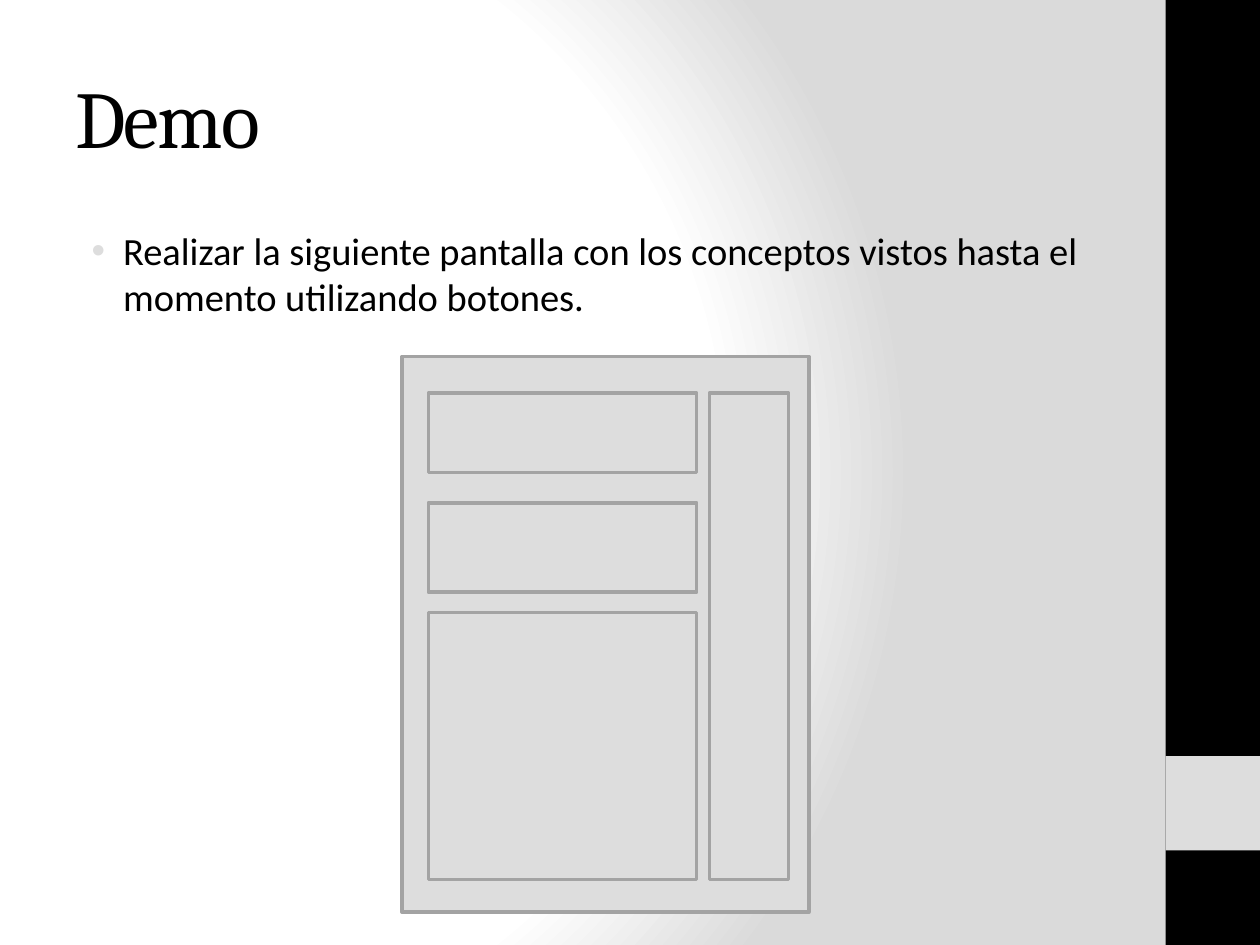
from lxml.etree import SubElement
from pptx import Presentation
from pptx.dml.color import RGBColor
from pptx.enum.shapes import MSO_SHAPE as Shape
from pptx.enum.text import MSO_ANCHOR as Anchor
from pptx.oxml import parse_xml
from pptx.oxml.ns import nsdecls, qn
from pptx.util import Inches, Pt

BLACK = RGBColor(0x00, 0x00, 0x00)
WHITE = RGBColor(0xFF, 0xFF, 0xFF)
BACKDROP_GRAY = RGBColor(0xDA, 0xDA, 0xDA)
LIGHT_GRAY = RGBColor(0xDD, 0xDD, 0xDD)
OUTLINE_GRAY = RGBColor(0xA3, 0xA3, 0xA3)


def set_background(slide):
    """Give the slide a circular gradient that is white at the left."""
    stops = "".join(
        f'<a:gs pos="{percent * 1000}"><a:srgbClr val="{color}"/></a:gs>'
        for percent, color in ((0, WHITE), (75, WHITE), (100, BACKDROP_GRAY))
    )
    background = parse_xml(
        f'<p:bg {nsdecls("p", "a")}><p:bgPr><a:gradFill rotWithShape="1">'
        f"<a:gsLst>{stops}</a:gsLst>"
        '<a:path path="circle">'
        '<a:fillToRect l="20000" t="50000" r="100000" b="50000"/>'
        "</a:path></a:gradFill><a:effectLst/></p:bgPr></p:bg>"
    )
    slide.element.cSld.insert(0, background)


def add_rectangle(slide, left, top, width, height, fill, line=None):
    """Add a plain rectangle, outlined when a line colour is given."""
    shape = slide.shapes.add_shape(
        Shape.RECTANGLE, Inches(left), Inches(top), Inches(width), Inches(height)
    )
    shape.shadow.inherit = False
    shape.fill.solid()
    shape.fill.fore_color.rgb = fill
    if line is None:
        shape.line.fill.background()
    else:
        shape.line.color.rgb = line
        shape.line.width = Pt(2)


def add_bullet(paragraph, color):
    """Give the paragraph a coloured bullet with a hanging indent."""
    properties = paragraph._p.get_or_add_pPr()
    properties.set("marL", str(Inches(0.38)))
    properties.set("indent", str(Inches(-0.25)))
    bullet_color = SubElement(properties, qn("a:buClr"))
    SubElement(bullet_color, qn("a:srgbClr"), val=str(color))
    SubElement(properties, qn("a:buFont"), typeface="Arial")
    SubElement(properties, qn("a:buChar"), char="•")


def add_text(slide, text, left, top, width, height, *, font, size,
             anchor=Anchor.TOP, spacing=0, space_before=0, bullet=None):
    """Add a wrapped text box with one formatted paragraph."""
    box = slide.shapes.add_textbox(
        Inches(left), Inches(top), Inches(width), Inches(height)
    )
    frame = box.text_frame
    frame.word_wrap = True
    frame.vertical_anchor = anchor
    paragraph = frame.paragraphs[0]
    paragraph.space_before = Pt(space_before)
    if bullet is not None:
        add_bullet(paragraph, bullet)
    run = paragraph.add_run()
    run.text = text
    run.font.name = font
    run.font.size = Pt(size)
    run.font.color.rgb = BLACK
    if spacing:
        run.font._element.set("spc", str(spacing * 100))


def add_screen_mockup(slide):
    """Draw the screen: three stacked buttons beside one tall button."""
    left, top, bottom = 3.4, 3.12, 6.98
    outlines = [(3.19, 2.83, 3.23, 4.41), (5.63, top, 0.63, bottom - top)]
    rows = ((top, 0.63), (3.99, 0.71), (4.86, bottom - 4.86))
    outlines += [(left, row_top, 2.13, height) for row_top, height in rows]
    for outline in outlines:
        add_rectangle(slide, *outline, LIGHT_GRAY, OUTLINE_GRAY)


def main():
    """Build the slide and save it."""
    presentation = Presentation()
    presentation.slide_width = Inches(10)
    presentation.slide_height = Inches(7.5)
    slide = presentation.slides.add_slide(presentation.slide_layouts[6])
    set_background(slide)
    add_rectangle(slide, 9.25, 0, 0.75, 7.5, BLACK)
    add_rectangle(slide, 9.25, 6, 0.75, 0.75, LIGHT_GRAY)
    add_text(slide, "Demo", 0.5, 0.3, 8.33, 1.25, font="Cambria", size=46,
             anchor=Anchor.MIDDLE, spacing=-1)
    add_text(slide, "Realizar la siguiente pantalla con los conceptos vistos "
             "hasta el momento utilizando botones.", 0.5, 1.75, 8.33, 5.25,
             font="Calibri", size=22, space_before=4.4, bullet=LIGHT_GRAY)
    add_screen_mockup(slide)
    presentation.save("out.pptx")


main()
